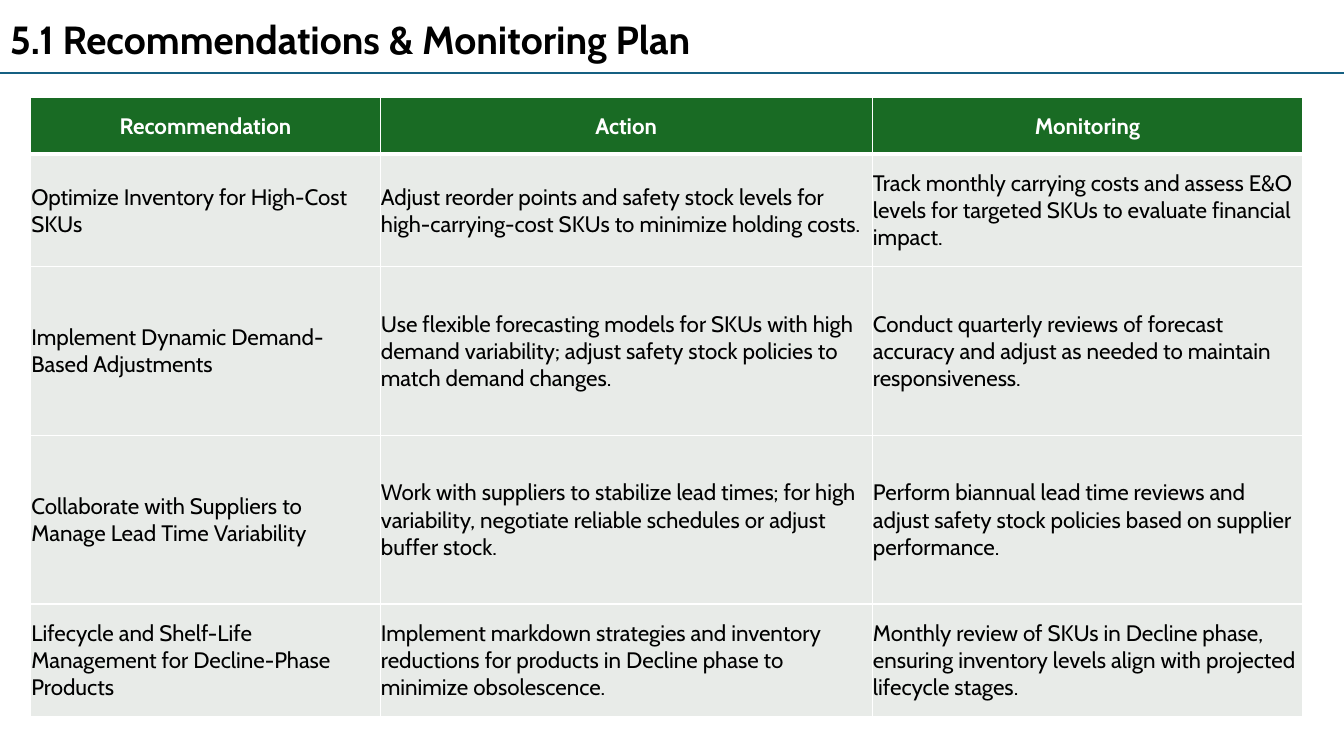
from dataclasses import dataclass

from lxml import etree
from pptx import Presentation
from pptx import util as u
from pptx.dml.color import RGBColor
from pptx.enum import shapes, text
from pptx.oxml.ns import qn


@dataclass(frozen=True)
class Theme:
    font: str = "Cabin"
    ink: str = "000000"
    white: str = "FFFFFF"
    green: str = "196B24"
    pale: str = "E8EBE8"
    blue: str = "156082"
    title: int = 28
    body: int = 16
    thin: int = 1
    thick: int = 3


@dataclass(frozen=True)
class Row:
    tall: float
    texts: tuple[str, str, str]


THEME = Theme()
WIDE, HIGH = u.Cm(33.87), u.Cm(19.05)
COLS = (8.81, 12.4, 10.85)
ROWS = (
    Row(1.42, ("Recommendation", "Action", "Monitoring")),
    Row(2.84, (
        "Optimize Inventory for High-Cost SKUs",
        "Adjust reorder points and safety stock levels for high-carrying-cost SKUs "
        "to minimize holding costs.",
        "Track monthly carrying costs and assess E&O levels for targeted SKUs "
        "to evaluate financial impact.",
    )),
    Row(4.25, (
        "Implement Dynamic Demand-Based Adjustments",
        "Use flexible forecasting models for SKUs with high demand variability; "
        "adjust safety stock policies to match demand changes.",
        "Conduct quarterly reviews of forecast accuracy and adjust as needed "
        "to maintain responsiveness.",
    )),
    Row(4.25, (
        "Collaborate with Suppliers to Manage Lead Time Variability",
        "Work with suppliers to stabilize lead times; for high variability, "
        "negotiate reliable schedules or adjust buffer stock.",
        "Perform biannual lead time reviews and adjust safety stock policies "
        "based on supplier performance.",
    )),
    Row(2.84, (
        "Lifecycle and Shelf-Life Management for Decline-Phase Products",
        "Implement markdown strategies and inventory reductions for products "
        "in Decline phase to minimize obsolescence.",
        "Monthly review of SKUs in Decline phase, ensuring inventory levels "
        "align with projected lifecycle stages.",
    )),
)


def write(frame, words: str, *, size: int, color: str = THEME.ink,
          bold: bool = False, align=text.PP_ALIGN.LEFT) -> None:
    para = frame.paragraphs[0]
    para.alignment = align
    run = para.add_run()
    run.text = words
    font = run.font
    font.name, font.size, font.bold = THEME.font, u.Pt(size), bold
    font.color.rgb = RGBColor.from_string(color)


def edge(cell, side: str, width: int) -> None:
    """Draw one white border; call before filling, as XML order matters."""
    props = cell._tc.get_or_add_tcPr()
    line = etree.SubElement(props, qn(f"a:ln{side}"), w=str(u.Pt(width)))
    fill = etree.SubElement(line, qn("a:solidFill"))
    etree.SubElement(fill, qn("a:srgbClr"), val=THEME.white)


def draw_title(slide) -> None:
    box = slide.shapes.add_textbox(0, u.Cm(0.25), u.Cm(34.37), u.Cm(1.45))
    box.text_frame.word_wrap = True
    box.text_frame.auto_size = text.MSO_AUTO_SIZE.SHAPE_TO_FIT_TEXT
    write(box.text_frame, "5.1 Recommendations & Monitoring Plan",
          size=THEME.title, bold=True)


def draw_rule(slide) -> None:
    top = u.Cm(1.83)
    rule = slide.shapes.add_connector(shapes.MSO_CONNECTOR.STRAIGHT, 0, top, WIDE, top)
    rule.line.color.rgb = RGBColor.from_string(THEME.blue)
    rule.line.width = u.Pt(1.5)
    etree.SubElement(rule._element.spPr, qn("a:effectLst"))


def draw_cell(cell, words: str, row: int) -> None:
    head = row == 0
    cell.margin_left = cell.margin_right = cell.margin_top = u.Cm(0.02)
    cell.margin_bottom = 0
    cell.vertical_anchor = text.MSO_ANCHOR.MIDDLE
    for side in "LRTB":
        heavy = (side, row) in (("B", 0), ("T", 1))
        edge(cell, side, THEME.thick if heavy else THEME.thin)
    cell.fill.solid()
    cell.fill.fore_color.rgb = RGBColor.from_string(THEME.green if head else THEME.pale)
    write(cell.text_frame, words, size=THEME.body, bold=head,
          color=THEME.white if head else THEME.ink,
          align=text.PP_ALIGN.CENTER if head else text.PP_ALIGN.LEFT)


def draw_plan(slide) -> None:
    frame = slide.shapes.add_table(
        len(ROWS), len(COLS), u.Cm(0.77), u.Cm(2.46),
        u.Cm(sum(COLS)), u.Cm(sum(row.tall for row in ROWS)))
    table = frame.table
    for col, wide in zip(table.columns, COLS):
        col.width = u.Cm(wide)
    for r, row in enumerate(ROWS):
        table.rows[r].height = u.Cm(row.tall)
        for c, words in enumerate(row.texts):
            draw_cell(table.cell(r, c), words, r)


def main() -> None:
    deck = Presentation()
    deck.slide_width, deck.slide_height = WIDE, HIGH
    slide = deck.slides.add_slide(deck.slide_layouts[6])
    draw_title(slide)
    draw_rule(slide)
    draw_plan(slide)
    deck.save("out.pptx")


if __name__ == "__main__":
    main()
